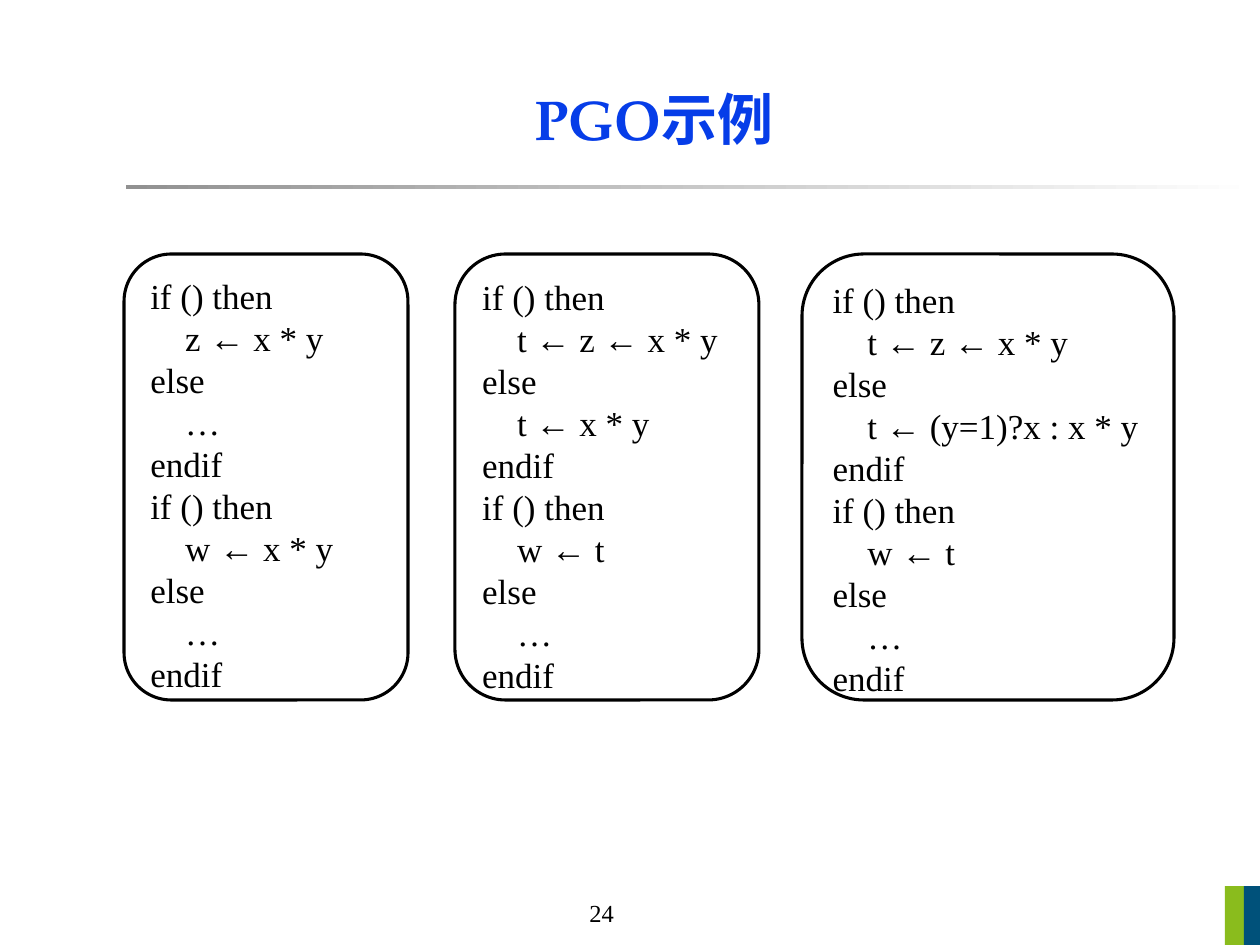
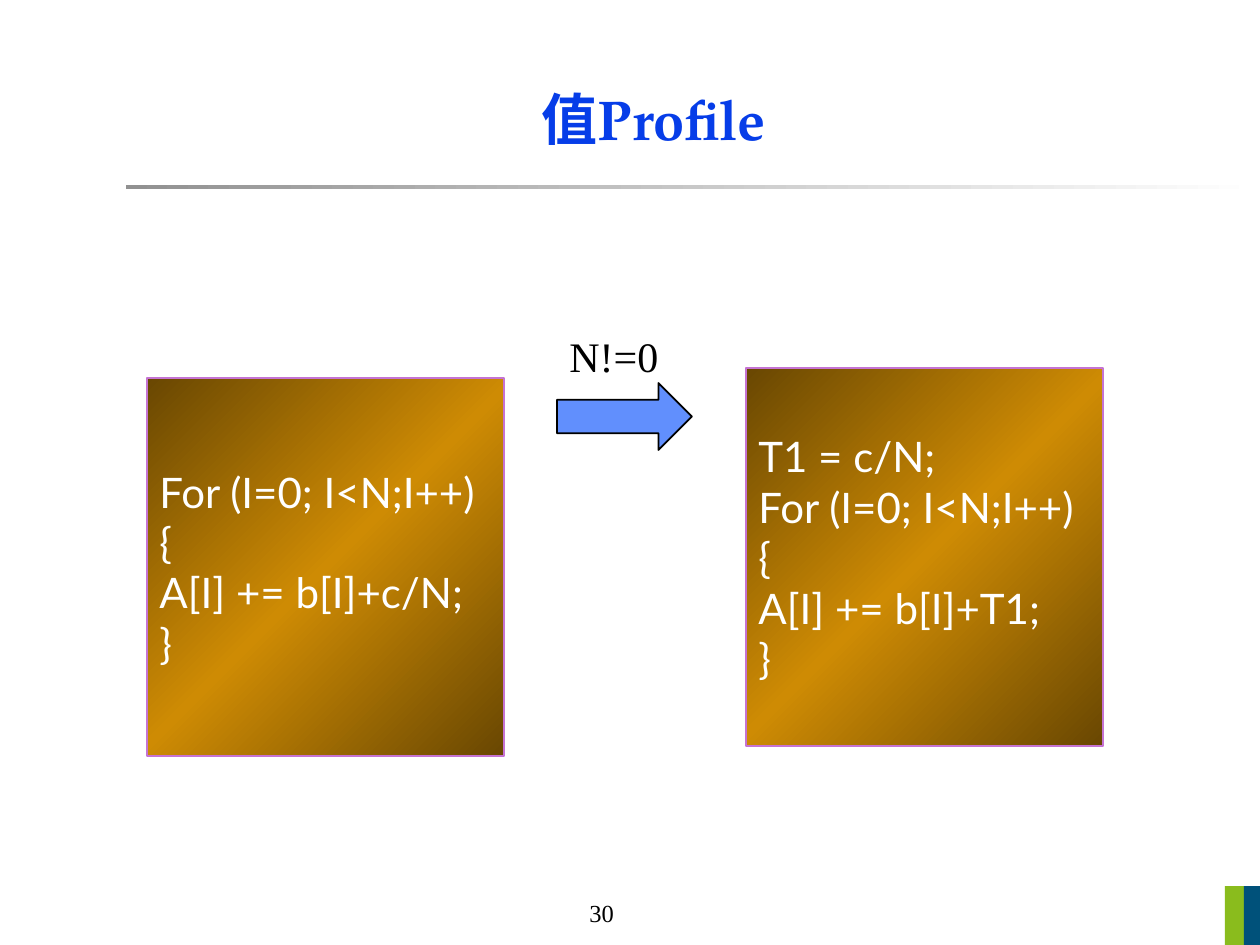
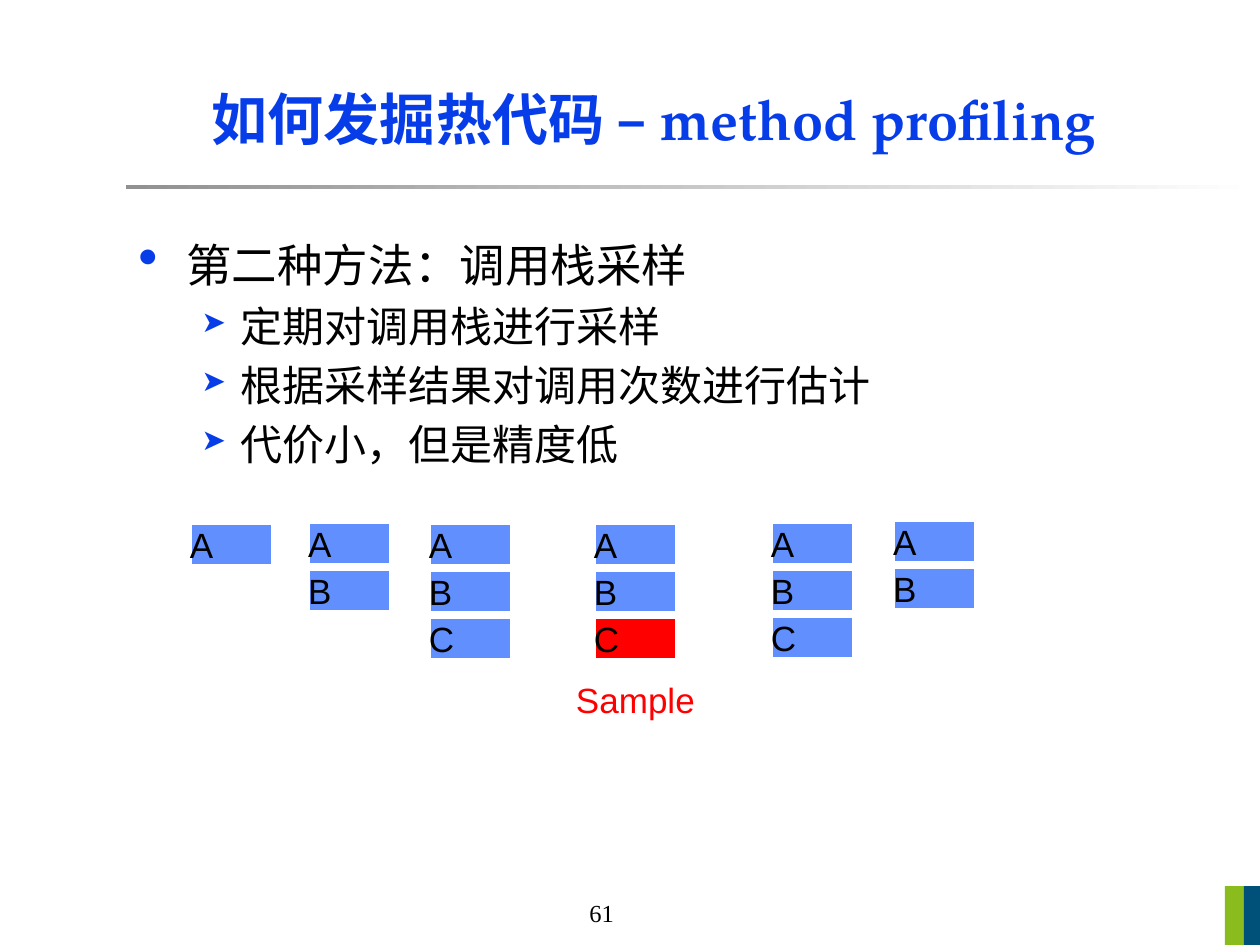
from lxml.etree import SubElement
from pptx import Presentation
from pptx.dml.color import RGBColor
from pptx.enum.shapes import MSO_SHAPE
from pptx.enum.text import MSO_ANCHOR, PP_ALIGN
from pptx.oxml.ns import qn
from pptx.util import Emu, Pt

PIXEL = 914400 / 126

BLACK = RGBColor(0x00, 0x00, 0x00)
WHITE = RGBColor(0xFF, 0xFF, 0xFF)
RED = RGBColor(0xFF, 0x00, 0x00)
TITLE_BLUE = RGBColor(0x06, 0x3D, 0xE8)
LIGHT_BLUE = RGBColor(0x61, 0x8F, 0xFD)
RULE_GRAY = RGBColor(0x91, 0x91, 0x91)
BAND_GREEN = RGBColor(0x8A, 0xBC, 0x1D)
BAND_BLUE = RGBColor(0x00, 0x51, 0x7A)
DARK_BROWN = RGBColor(0x69, 0x47, 0x02)
AMBER = RGBColor(0xCE, 0x8B, 0x04)
PINK = RGBColor(0xC5, 0x73, 0xD2)

SERIF = "Times New Roman"
TITLE = dict(name="TeX Gyre Pagella", size=Pt(32), bold=True)
NUMBER = dict(name=SERIF, size=Pt(14))
LISTING = dict(name=SERIF, size=Pt(20))
LOOP = dict(name="Lato", size=Pt(24))
CONDITION = dict(name=SERIF, size=Pt(24))
FRAME = dict(name="Arial", size=Pt(20))

# Bullet levels: character, size in percent, left and hanging indent in px, font
BULLETS = [
    ("•", 125, 48, 48, dict(name=SERIF, size=Pt(26))),
    ("➤", 70, 102, 39, dict(name=SERIF, size=Pt(24))),
]


def px(length):
    return Emu(round(length * PIXEL))


def set_font(paragraph, font, color):
    for name, value in font.items():
        setattr(paragraph.font, name, value)
    paragraph.font.color.rgb = color


def write(shape, lines, font, color=BLACK, anchor=MSO_ANCHOR.TOP,
          align=PP_ALIGN.LEFT, wrap=True, inset=None, spacing=None):
    frame = shape.text_frame
    frame.word_wrap = wrap
    frame.vertical_anchor = anchor
    if inset is not None:
        for side in ("left", "top", "right", "bottom"):
            setattr(frame, f"margin_{side}", px(inset))
    frame.text = "\n".join(lines)
    for paragraph in frame.paragraphs:
        paragraph.alignment = align
        paragraph.line_spacing = spacing
        set_font(paragraph, font, color)


def add_text(slide, box, lines, font, **options):
    shape = slide.shapes.add_textbox(*map(px, box))
    write(shape, lines, font, **options)


def add_box(slide, box, kind=MSO_SHAPE.RECTANGLE, fill=None, line=None, width=1):
    shape = slide.shapes.add_shape(kind, *map(px, box))
    shape.shadow.inherit = False
    if fill is None:
        shape.fill.background()
    else:
        shape.fill.solid()
        shape.fill.fore_color.rgb = fill
    if line is None:
        shape.line.fill.background()
    else:
        shape.line.color.rgb = line
        shape.line.width = Pt(width)
    return shape


def set_gradient(shape, colors, angle):
    """Spread the colours evenly; the angle runs clockwise in degrees."""
    shape.fill.gradient()
    gradient = shape.element.spPr.find(qn("a:gradFill"))
    gradient.find(qn("a:lin")).set("ang", str(angle * 60000))
    stops = gradient.find(qn("a:gsLst"))
    for stop in list(stops):
        stops.remove(stop)
    for index, color in enumerate(colors):
        position = 100000 * index // (len(colors) - 1)
        stop = SubElement(stops, qn("a:gs"), pos=str(position))
        SubElement(stop, qn("a:srgbClr"), val=str(color))


def add_bullets(slide, box, items):
    frame = slide.shapes.add_textbox(*map(px, box)).text_frame
    frame.word_wrap = True
    for index, (level, text) in enumerate(items):
        paragraph = frame.paragraphs[0] if index == 0 else frame.add_paragraph()
        paragraph.text = text
        paragraph.level = level
        if index:
            paragraph.space_before = Pt(5)
        character, percent, left, hanging, font = BULLETS[level]
        properties = paragraph._p.get_or_add_pPr()
        properties.set("marL", str(px(left)))
        properties.set("indent", str(-px(hanging)))
        color = SubElement(properties, qn("a:buClr"))
        SubElement(color, qn("a:srgbClr"), val=str(TITLE_BLUE))
        SubElement(properties, qn("a:buSzPct"), val=str(percent * 1000))
        SubElement(properties, qn("a:buChar"), char=character)
        set_font(paragraph, font, BLACK)


def add_slide(presentation, title, number):
    slide = presentation.slides.add_slide(presentation.slide_layouts[6])
    add_text(slide, (577, 892, 54, 42), [str(number)], NUMBER, wrap=False)
    rule = add_box(slide, (126, 185, 1134, 4))
    set_gradient(rule, [RULE_GRAY, WHITE], 0)
    add_box(slide, (1225, 886, 19, 59), fill=BAND_GREEN)
    add_box(slide, (1244, 886, 16, 59), fill=BAND_BLUE)
    add_text(slide, (134, 55, 1040, 126), [title], TITLE, color=TITLE_BLUE,
             anchor=MSO_ANCHOR.MIDDLE, align=PP_ALIGN.CENTER)
    return slide


def add_listing(slide, left, width, product, alternative, reuse):
    lines = ["if () then", f"    {product}", "else", f"    {alternative}", "endif",
             "if () then", f"    {reuse}", "else", "    …", "endif"]
    shape = add_box(slide, (left, 254, width, 446), MSO_SHAPE.ROUNDED_RECTANGLE,
                    line=BLACK, width=1.75)
    write(shape, lines, LISTING, spacing=Pt(24))


def add_loop(slide, left, top, lines):
    shape = add_box(slide, (left, top, 357, 378), line=PINK)
    set_gradient(shape, [DARK_BROWN, AMBER, DARK_BROWN], 45)
    write(shape, lines, LOOP, color=WHITE, anchor=MSO_ANCHOR.MIDDLE)


def add_call_stack(slide, left, top, calls, sampled=None):
    for index, call in enumerate(calls):
        fill = RED if call == sampled else LIGHT_BLUE
        shape = add_box(slide, (left, top + 47 * index, 83, 43), fill=fill,
                        line=WHITE, width=2)
        write(shape, [call], FRAME, anchor=MSO_ANCHOR.MIDDLE, inset=0)


def build_pgo_example(presentation):
    slide = add_slide(presentation, "PGO示例", 24)
    add_listing(slide, 124, 284, "z ← x * y", "…", "w ← x * y")
    add_listing(slide, 455, 304, "t ← z ← x * y", "t ← x * y", "w ← t")
    add_listing(slide, 802, 372, "t ← z ← x * y", "t ← (y=1)?x : x * y", "w ← t")


def build_value_profile(presentation):
    slide = add_slide(presentation, "值Profile", 30)
    loop = "For (I=0; I<N;I++)"
    add_loop(slide, 147, 378, [loop, "{", "A[I] += b[I]+c/N;", "}"])
    add_loop(slide, 746, 368, ["T1 = c/N;", loop, "{", "A[I] += b[I]+T1;", "}"])
    add_box(slide, (557, 383, 135, 67), MSO_SHAPE.RIGHT_ARROW,
            fill=LIGHT_BLUE, line=BLACK)
    add_text(slide, (557, 324, 116, 63), ["N!=0"], CONDITION, wrap=False)


def build_method_profiling(presentation):
    slide = add_slide(presentation, "如何发掘热代码 – method profiling", 61)
    add_bullets(slide, (126, 231, 1040, 620), [
        (0, "第二种方法：调用栈采样"),
        (1, "定期对调用栈进行采样"),
        (1, "根据采样结果对调用次数进行估计"),
        (1, "代价小，但是精度低"),
    ])
    # Call stack over time, with the sampled frame in red
    add_call_stack(slide, 190, 523, "A")
    add_call_stack(slide, 308, 522, "AB")
    add_call_stack(slide, 429, 523, "ABC")
    add_call_stack(slide, 594, 523, "ABC", sampled="C")
    add_call_stack(slide, 771, 522, "ABC")
    add_call_stack(slide, 893, 520, "AB")
    add_text(slide, (576, 678, 120, 43), ["Sample"], FRAME, color=RED,
             wrap=False, inset=0)


def main():
    presentation = Presentation()
    presentation.slide_width = px(1260)
    presentation.slide_height = px(945)
    build_pgo_example(presentation)
    build_value_profile(presentation)
    build_method_profiling(presentation)
    presentation.save("out.pptx")


if __name__ == "__main__":
    main()
